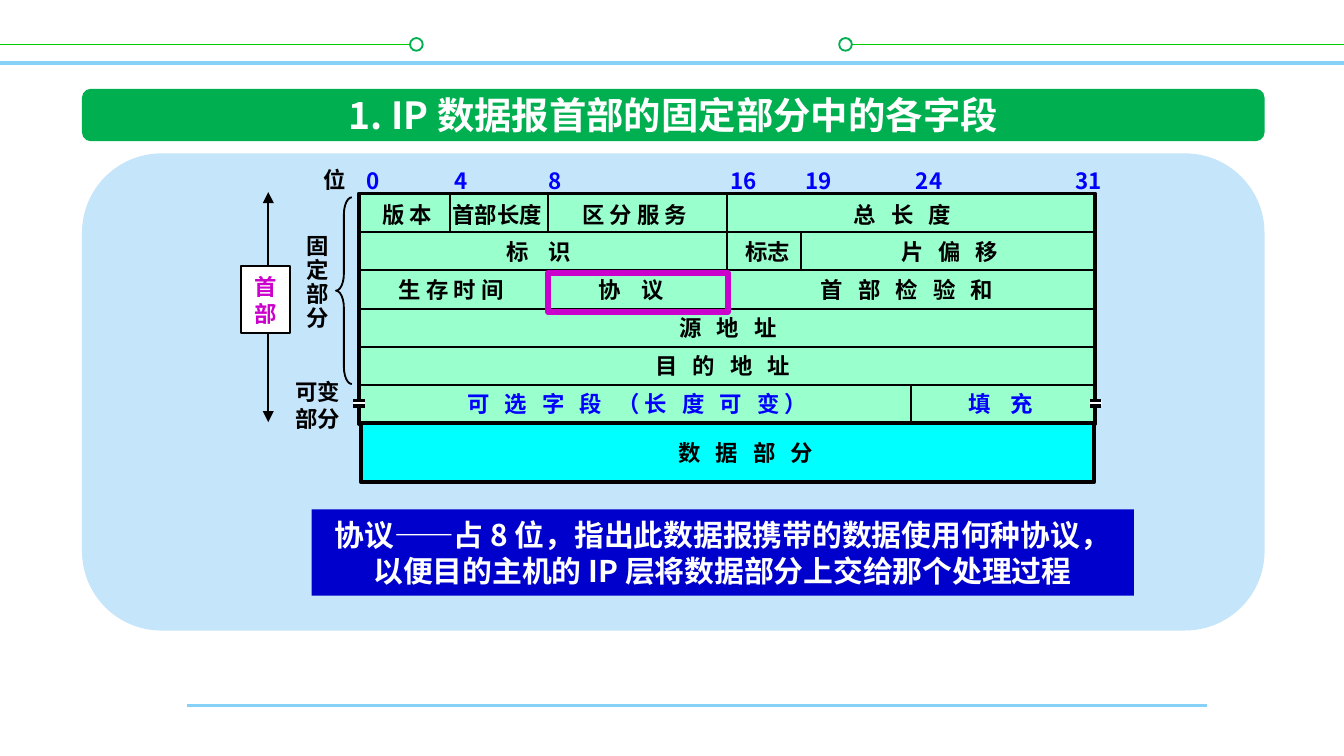
from dataclasses import dataclass

from lxml import etree
from pptx import Presentation
from pptx.dml.color import RGBColor
from pptx.enum import shapes, text
from pptx.oxml import ns
from pptx.util import Cm, Pt

FONT = "Noto Sans CJK SC"
BLACK, WHITE, BLUE, MAGENTA = "000000", "FFFFFF", "0000FF", "CC00CC"
SKY, GREEN = "85D1F7", "00B050"
SHAPE = shapes.MSO_SHAPE
LEFT, RIGHT, TOP, ROW = 6.78, 20.7, 3.66, 0.725  # header grid
LABEL_TOP, LABEL_STEP = 3.67, 0.715


@dataclass
class Field:
    row: int
    center: float
    width: float
    label: str
    spacing: float = 0
    color: str = BLACK


@dataclass
class Divider:
    x: float
    first_row: int
    last_row: int


@dataclass
class BitMark:
    center: float
    label: str


FIELDS = [
    Field(0, 7.7, 2, "版 本"),
    Field(0, 9.4, 3, "首部长度"),
    Field(0, 12, 4, "区 分 服 务"),
    Field(0, 17.06, 4, "总 长 度", 2.7),
    Field(1, 10.18, 3, "标 识", 4),
    Field(1, 14.51, 2, "标志"),
    Field(1, 17.95, 4, "片 偏 移", 2.7),
    Field(2, 8.53, 4, "生 存 时 间"),
    Field(2, 11.93, 3, "协 议", 4),
    Field(2, 17.14, 6, "首 部 检 验 和", 2.7),
    Field(3, 13.76, 4, "源 地 址", 2.7),
    Field(4, 13.66, 5, "目 的 地 址", 2.7),
    Field(5, 12.05, 10, "可 选 字 段 （长 度 可 变）", 2.7, BLUE),
    Field(5, 18.92, 3, "填 充", 4, BLUE),
]
DIVIDERS = [
    Divider(8.51, 0, 1), Divider(10.36, 0, 1), Divider(10.36, 2, 3),
    Divider(13.74, 0, 3), Divider(15.14, 1, 2), Divider(17.22, 5, 6),
]
BIT_MARKS = [
    BitMark(7.06, "0"), BitMark(8.72, "4"), BitMark(10.49, "8"),
    BitMark(14.06, "16"), BitMark(15.48, "19"), BitMark(17.56, "24"),
    BitMark(20.57, "31"),
]

prs = Presentation()
prs.slide_width, prs.slide_height = Cm(25.4), Cm(14.29)
slide = prs.slides.add_slide(prs.slide_layouts[5])


def rgb(value: str) -> RGBColor:
    return RGBColor.from_string(value)


def add_shape(kind, x: float, y: float, w: float, h: float,
              fill: str = "", line: str = "", weight: float = 1):
    shape = slide.shapes.add_shape(kind, Cm(x), Cm(y), Cm(w), Cm(h))
    shape.shadow.inherit = False
    if fill:
        shape.fill.solid()
        shape.fill.fore_color.rgb = rgb(fill)
    else:
        shape.fill.background()
    if line:
        shape.line.color.rgb = rgb(line)
        shape.line.width = Pt(weight)
    else:
        shape.line.fill.background()
    return shape


def add_line(x1: float, y1: float, x2: float, y2: float,
             color: str = BLACK, weight: float = 1, arrows: bool = False):
    line = slide.shapes.add_connector(
        shapes.MSO_CONNECTOR.STRAIGHT, Cm(x1), Cm(y1), Cm(x2), Cm(y2))
    line.line.color.rgb = rgb(color)
    line.line.width = Pt(weight)
    if arrows:
        for end in ("a:headEnd", "a:tailEnd"):
            etree.SubElement(line.line._get_or_add_ln(), ns.qn(end), type="triangle")
    etree.SubElement(line._element.spPr, ns.qn("a:effectLst"))


def write(shape, lines: list[str], color: str = BLACK, size: float = 12,
          spacing: float = 0, leading: float = 1):
    """Fill a shape with centred bold lines; spacing is between letters, in points."""
    frame = shape.text_frame
    frame.word_wrap = False
    frame.vertical_anchor = text.MSO_ANCHOR.MIDDLE
    for index, content in enumerate(lines):
        paragraph = frame.add_paragraph() if index else frame.paragraphs[0]
        paragraph.alignment = text.PP_ALIGN.CENTER
        paragraph.line_spacing = leading
        run = paragraph.add_run()
        run.text = content
        font = run.font
        font.name, font.size, font.bold = FONT, Pt(size), True
        font.color.rgb = rgb(color)
        properties = run._r.get_or_add_rPr()
        etree.SubElement(properties, ns.qn("a:ea"), typeface=FONT)
        if spacing:
            properties.set("spc", str(round(spacing * 100)))


def add_label(center: float, y: float, lines: list[str], width: float = 2,
              height: float = 0.76, **style):
    box = slide.shapes.add_textbox(
        Cm(center - width / 2), Cm(y), Cm(width), Cm(height))
    write(box, lines, **style)


def row_top(row: int) -> float:
    return TOP + row * ROW


def draw_frame():
    add_line(3.53, 13.34, 22.81, 13.34, SKY, 1.5)
    add_line(0, 1.19, 25.4, 1.19, SKY, 2)
    for start, end, dot in ((0, 7.87, 7.75), (15.88, 25.4, 15.86)):
        add_line(start, 0.84, end, 0.84, "00CC00")
        add_shape(SHAPE.OVAL, dot, 0.72, 0.24, 0.24, WHITE, GREEN)
    add_shape(SHAPE.ROUNDED_RECTANGLE, 1.55, 1.68, 22.35, 0.99, GREEN)
    add_shape(SHAPE.ROUNDED_RECTANGLE, 1.55, 2.9, 22.35, 9.02, "C5E5FB")

    title = slide.shapes.title
    title.left, title.top, title.width, title.height = Cm(6.02), Cm(1.6), Cm(13.41), Cm(1.12)
    write(title, ["1. IP 数据报首部的固定部分中的各字段"], WHITE, 20)
    slide.shapes._spTree.append(title._element)  # in front of its green band


def draw_header_grid():
    add_shape(SHAPE.RECTANGLE, LEFT, TOP, RIGHT - LEFT, 6 * ROW, "99FFCC", BLACK, 2)
    add_shape(SHAPE.RECTANGLE, 6.82, 8, 13.86, 1.11, "00FFFF", BLACK, 2.25)
    for row in range(1, 6):
        add_line(LEFT, row_top(row), RIGHT, row_top(row))
    for divider in DIVIDERS:
        add_line(divider.x, row_top(divider.first_row), divider.x, row_top(divider.last_row))
    for mark in BIT_MARKS:
        add_label(mark.center, 3.03, [mark.label], color=BLUE)
    for field in FIELDS:
        add_label(field.center, LABEL_TOP + field.row * LABEL_STEP, [field.label],
                  width=field.width, color=field.color, spacing=field.spacing)
    add_label(14.1, 8.18, ["数 据 部 分"], width=5.16, spacing=2.7)
    for edge in (6.68, 20.6):  # break marks on both sides
        add_shape(SHAPE.RECTANGLE, edge, 7.56, 0.22, 0.1, WHITE)
        for y in (7.57, 7.67):
            add_line(edge, y, edge + 0.21, y, weight=2)


def draw_side_notes():
    add_label(6.32, 3.02, ["位"])
    add_label(6.01, 4.3, list("固定部分"), height=2.11, leading=0.9)
    add_label(6.01, 7.03, ["可变", "部分"], height=1.27)
    brace = add_shape(SHAPE.LEFT_BRACE, 6.35, 3.73, 0.3, 3.53, line=BLACK)
    brace.adjustments[0] = 1.08
    add_line(5.07, 3.63, 5.07, 7.98, arrows=True)
    header = add_shape(SHAPE.RECTANGLE, 4.55, 5.03, 0.94, 1.27, WHITE, BLACK)
    write(header, ["首", "部"], MAGENTA)


def draw_protocol_note():
    note = add_shape(SHAPE.RECTANGLE, 5.89, 9.63, 15.54, 1.63, "0000CC")
    write(note, ["协议——占 8 位，指出此数据报携带的数据使用何种协议，",
                 "以便目的主机的 IP 层将数据部分上交给那个处理过程"], WHITE, 16)
    add_shape(SHAPE.RECTANGLE, 10.36, 5.16, 3.4, 0.74, line=MAGENTA, weight=3)


draw_frame()
draw_header_grid()
draw_side_notes()
draw_protocol_note()
prs.save("out.pptx")
